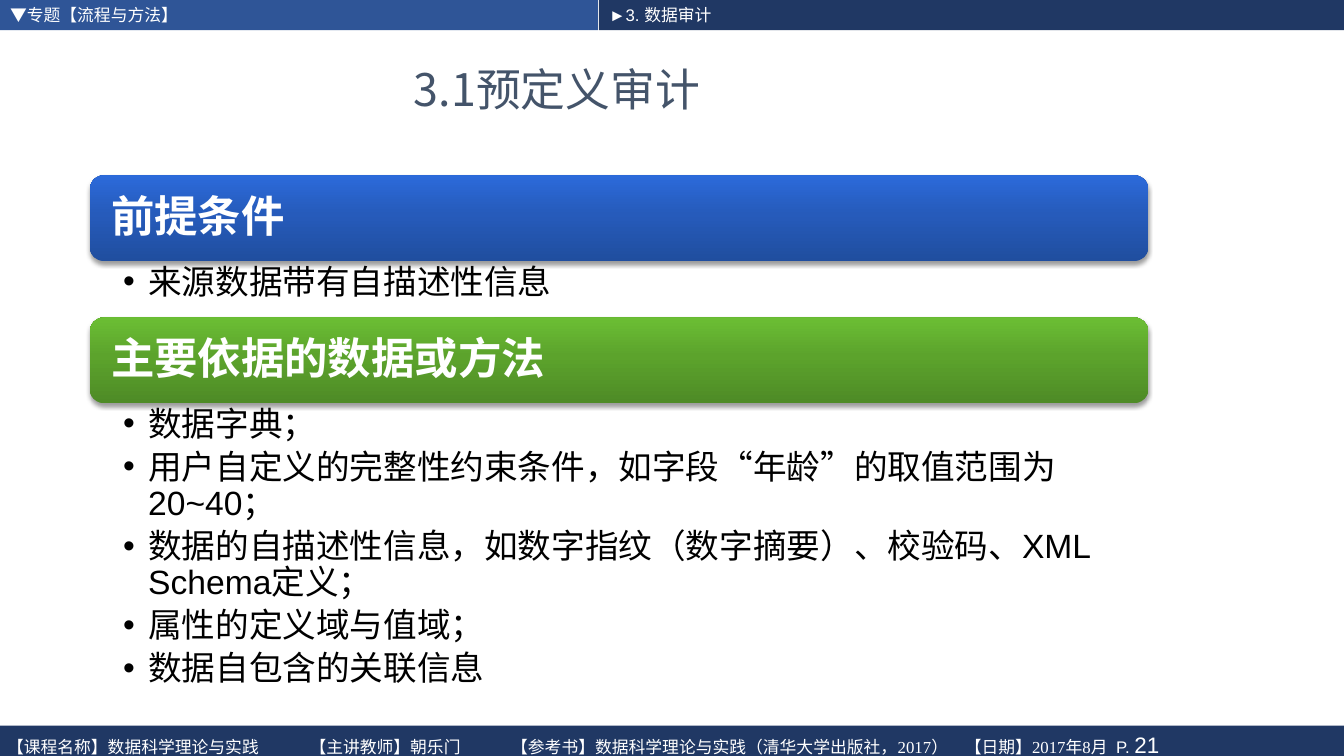
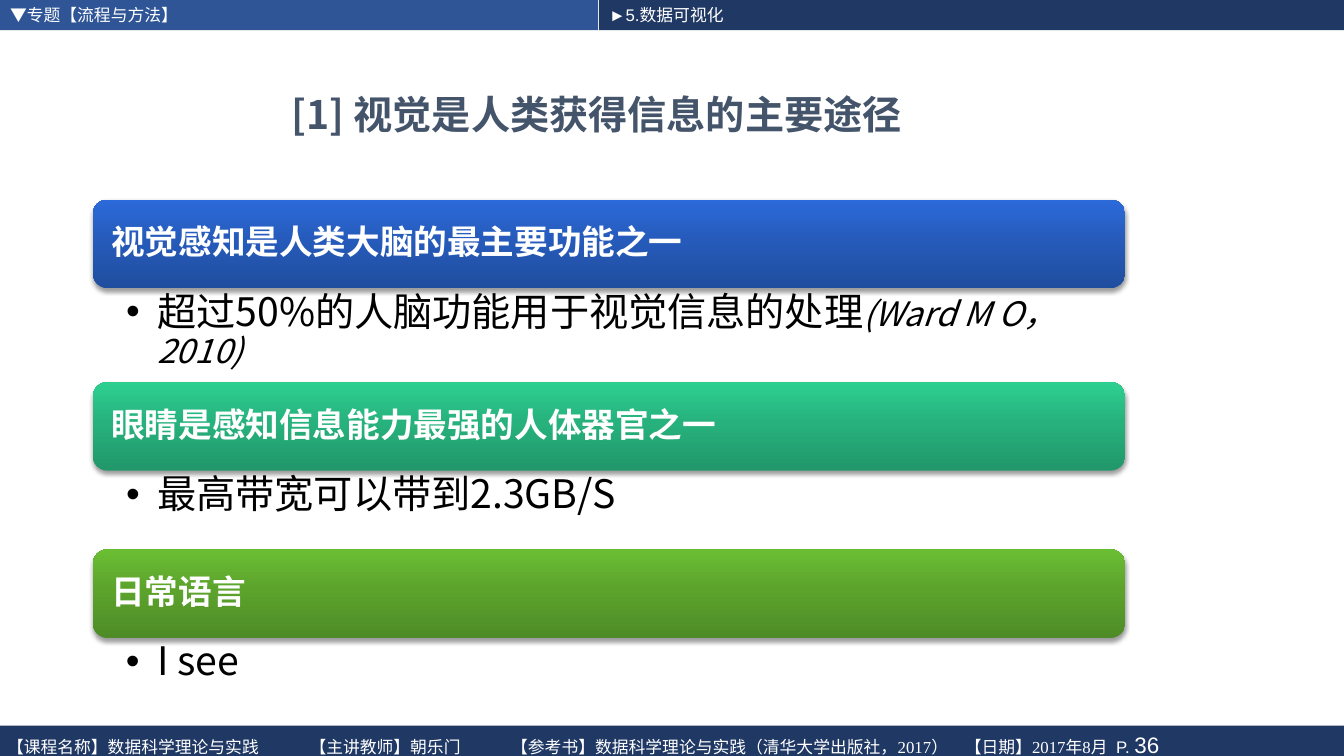
from copy import deepcopy
from dataclasses import dataclass

from lxml import etree
from pptx import Presentation
from pptx.dml.color import RGBColor
from pptx.enum.shapes import MSO_SHAPE as Shape
from pptx.enum.text import MSO_ANCHOR as Anchor, MSO_AUTO_SIZE as AutoSize, PP_ALIGN as Align
from pptx.oxml.ns import qn
from pptx.util import Inches, Pt

WHITE = RGBColor(0xFF, 0xFF, 0xFF)
BLACK = RGBColor(0x00, 0x00, 0x00)
NAVY = RGBColor(0x20, 0x38, 0x64)
MID_BLUE = RGBColor(0x2F, 0x55, 0x97)
SLATE = RGBColor(0x44, 0x54, 0x6A)
# Gradients run from the bottom of a bar to its top
BLUE = (RGBColor(0x20, 0x4E, 0x9F), RGBColor(0x26, 0x5B, 0xBB), RGBColor(0x2C, 0x6A, 0xDA))
GREEN = (RGBColor(0x4E, 0x8B, 0x26), RGBColor(0x5C, 0xA3, 0x2C), RGBColor(0x6B, 0xBE, 0x34))
TEAL = (RGBColor(0x21, 0x97, 0x6A), RGBColor(0x27, 0xB2, 0x7D), RGBColor(0x2D, 0xCF, 0x91))
GRADIENT_STOPS = (0, 0.55, 1)

ARIAL = "Arial"
TIMES = "Times New Roman"
NOTO = "Noto Sans CJK SC"

SLIDE_WIDTH, SLIDE_HEIGHT = 13.33, 7.5
BAND_HEIGHT = 0.3
COMPARISON_LAYOUT = 4
TOPIC = "▼专题【流程与方法】"
FOOTER_PARTS = (
    "【课程名称】数据科学理论与实践",
    "【主讲教师】朝乐门",
    "【参考书】数据科学理论与实践（清华大学出版社，2017）",
    "【日期】2017年8月",
)
FOOTER_TABS = ((3.01, "l"), (5.18, "l"), (10.2, "l"), (13.1, "r"))


@dataclass
class PanelStyle:
    """Measures, in inches and points, of a stack of headed lists."""
    left: float
    top: float
    width: float
    bar_height: float
    bar_inset: float
    bar_size: int
    list_size: int
    indent: float
    space_after: float
    font: str


@dataclass
class Span:
    """A piece of text that departs from the style of its list."""
    text: str
    size: int
    italic: bool = False


class SlideBuilder:
    def __init__(self):
        self.deck = Presentation()
        self.deck.slide_width = Inches(SLIDE_WIDTH)
        self.deck.slide_height = Inches(SLIDE_HEIGHT)
        self.page = None
        self.list_boxes = []

    def new_page(self, section, number):
        """Start a slide with its header bands and footer."""
        self.page = self.deck.slides.add_slide(self.deck.slide_layouts[COMPARISON_LAYOUT])
        _, topic, first_list, chapter, second_list = self.page.placeholders
        self.list_boxes = [first_list, second_list]
        self.header_band(topic, 0, 5.93, MID_BLUE, TOPIC)
        self.header_band(chapter, 5.94, SLIDE_WIDTH - 5.94, NAVY, section)
        self.footer(number)

    def place(self, box, left, top, width, height):
        box.left, box.top = Inches(left), Inches(top)
        box.width, box.height = Inches(width), Inches(height)

    def frame(self, box, anchor, insets):
        """Set up a text frame; insets are left, top, right, bottom."""
        frame = box.text_frame
        frame.word_wrap = True
        frame.auto_size = AutoSize.NONE
        frame.vertical_anchor = anchor
        (frame.margin_left, frame.margin_top,
         frame.margin_right, frame.margin_bottom) = map(Inches, insets)
        return frame

    def paragraph(self, para, align=Align.LEFT, indent=0, tabs=()):
        """Format a paragraph, bulleted when it has an indent."""
        properties = para._p.get_or_add_pPr()
        properties.set("marL", str(Inches(indent)))
        properties.set("indent", str(-Inches(indent)))
        if indent:
            etree.SubElement(properties, qn("a:buFont"), typeface=ARIAL)
            etree.SubElement(properties, qn("a:buChar"), char="•")
        else:
            etree.SubElement(properties, qn("a:buNone"))
        if tabs:
            tab_list = etree.SubElement(properties, qn("a:tabLst"))
            for position, side in tabs:
                etree.SubElement(tab_list, qn("a:tab"), pos=str(Inches(position)), algn=side)
        para.alignment = align
        para.space_before = Pt(0)

    def run(self, para, text, size, font, color, bold=False, italic=False):
        span = para.add_run()
        span.text = text
        span.font.size = Pt(size)
        span.font.bold = bold
        span.font.italic = italic
        span.font.color.rgb = color
        span.font.name = font
        etree.SubElement(span._r.get_or_add_rPr(), qn("a:ea"), typeface=NOTO)

    def shape(self, kind, left, top, width, height):
        box = self.page.shapes.add_shape(
            kind, Inches(left), Inches(top), Inches(width), Inches(height))
        box.shadow.inherit = False
        box.line.fill.background()
        return box

    def header_band(self, box, left, width, color, text):
        self.place(box, left, 0, width, BAND_HEIGHT)
        box.fill.solid()
        box.fill.fore_color.rgb = color
        para = self.frame(box, Anchor.MIDDLE, (0.1, 0, 0.1, 0)).paragraphs[0]
        self.paragraph(para)
        self.run(para, text, 12, ARIAL, WHITE)

    def footer(self, number):
        band = self.shape(Shape.RECTANGLE, 0, SLIDE_HEIGHT - BAND_HEIGHT,
                          SLIDE_WIDTH, BAND_HEIGHT)
        band.fill.solid()
        band.fill.fore_color.rgb = NAVY
        para = self.frame(band, Anchor.MIDDLE, (0.07, 0.08, 0.1, 0)).paragraphs[0]
        self.paragraph(para, tabs=FOOTER_TABS)
        self.run(para, "\t".join(FOOTER_PARTS) + "\t", 12, TIMES, WHITE)
        self.run(para, "P. ", 12, ARIAL, WHITE)
        self.run(para, str(number), 16, ARIAL, WHITE)

    def title(self, text, left, top, width, height, size, bold=False):
        box = self.page.shapes.title
        self.place(box, left, top, width, height)
        para = self.frame(box, Anchor.MIDDLE, (0.1, 0.05, 0.1, 0.05)).paragraphs[0]
        self.paragraph(para, Align.CENTER)
        self.run(para, text, size, NOTO, SLATE, bold)

    def bar(self, style, top, text, gradient):
        bar = self.shape(Shape.ROUNDED_RECTANGLE, style.left, top,
                         style.width, style.bar_height)
        bar.fill.gradient()
        bar.fill.gradient_angle = 90
        properties = bar._element.spPr
        stops = properties.find(".//" + qn("a:gsLst"))
        stops.insert(1, deepcopy(stops[0]))
        for stop, color, position in zip(bar.fill.gradient_stops, gradient, GRADIENT_STOPS):
            stop.color.rgb = color
            stop.position = position
        shadow = etree.SubElement(
            properties.find(qn("a:effectLst")), qn("a:outerShdw"), blurRad=str(Pt(3.1)),
            dist=str(Pt(2)), dir="5400000", rotWithShape="0")
        black = etree.SubElement(shadow, qn("a:srgbClr"), val=str(BLACK))
        etree.SubElement(black, qn("a:alpha"), val="38000")
        para = self.frame(bar, Anchor.MIDDLE, (style.bar_inset, 0, 0.1, 0)).paragraphs[0]
        self.paragraph(para)
        para.line_spacing = 0.9
        self.run(para, text, style.bar_size, style.font, WHITE, bold=True)

    def bullets(self, style, top, height, items):
        """Fill the next free body placeholder, or a text box when none is left."""
        if self.list_boxes:
            box = self.list_boxes.pop(0)
        else:
            box = self.page.shapes.add_textbox(0, 0, 0, 0)
        self.place(box, style.left, top, style.width, height)
        frame = self.frame(box, Anchor.TOP, (0.33, 0.04, 0.23, 0.04))
        for index, spans in enumerate(items):
            para = frame.add_paragraph() if index else frame.paragraphs[0]
            self.paragraph(para, indent=style.indent)
            para.line_spacing = 0.9
            para.space_after = Pt(style.space_after)
            for span in spans:
                self.run(para, span.text, span.size, style.font, BLACK, italic=span.italic)

    def panels(self, style, sections):
        """Stack bars, each followed by its list."""
        top = style.top
        for heading, gradient, list_height, items in sections:
            self.bar(style, top, heading, gradient)
            top += style.bar_height
            spans = [item if isinstance(item, list) else [Span(item, style.list_size)]
                     for item in items]
            self.bullets(style, top, list_height, spans)
            top += list_height


def audit_slide(builder):
    builder.new_page("►3. 数据审计", 21)
    builder.title("3.1预定义审计", 0.44, 0.43, 10.17, 0.9, 32)
    style = PanelStyle(left=0.89, top=1.74, width=10.5, bar_height=0.85, bar_inset=0.17,
                       bar_size=31, list_size=24, indent=0.25, space_after=4.8, font=ARIAL)
    builder.panels(style, (
        ("前提条件", BLUE, 0.56, ["来源数据带有自描述性信息"]),
        ("主要依据的数据或方法", GREEN, 2.81, [
            "数据字典；",
            "用户自定义的完整性约束条件，如字段“年龄”的取值范围为20~40；",
            "数据的自描述性信息，如数字指纹（数字摘要）、校验码、XML Schema定义；",
            "属性的定义域与值域；",
            "数据自包含的关联信息",
        ]),
    ))


def vision_slide(builder):
    builder.new_page("►5.数据可视化", 36)
    builder.title("[1] 视觉是人类获得信息的主要途径", 2.02, 0.8, 7.8, 0.65, 28, bold=True)
    style = PanelStyle(left=0.92, top=1.98, width=10.24, bar_height=0.88, bar_inset=0.14,
                       bar_size=24, list_size=28, indent=0.31, space_after=5.6, font=NOTO)
    builder.panels(style, (
        ("视觉感知是人类大脑的最主要功能之一", BLUE, 0.93, [
            [Span("超过50%的人脑功能用于视觉信息的处理", 28),
             Span("(Ward M O，2010)", 24, italic=True)],
        ]),
        ("眼睛是感知信息能力最强的人体器官之一", TEAL, 0.78, ["最高带宽可以带到2.3GB/S"]),
        ("日常语言", GREEN, 0.78, ["I see"]),
    ))


def main():
    builder = SlideBuilder()
    audit_slide(builder)
    vision_slide(builder)
    builder.deck.save("out.pptx")


if __name__ == "__main__":
    main()
